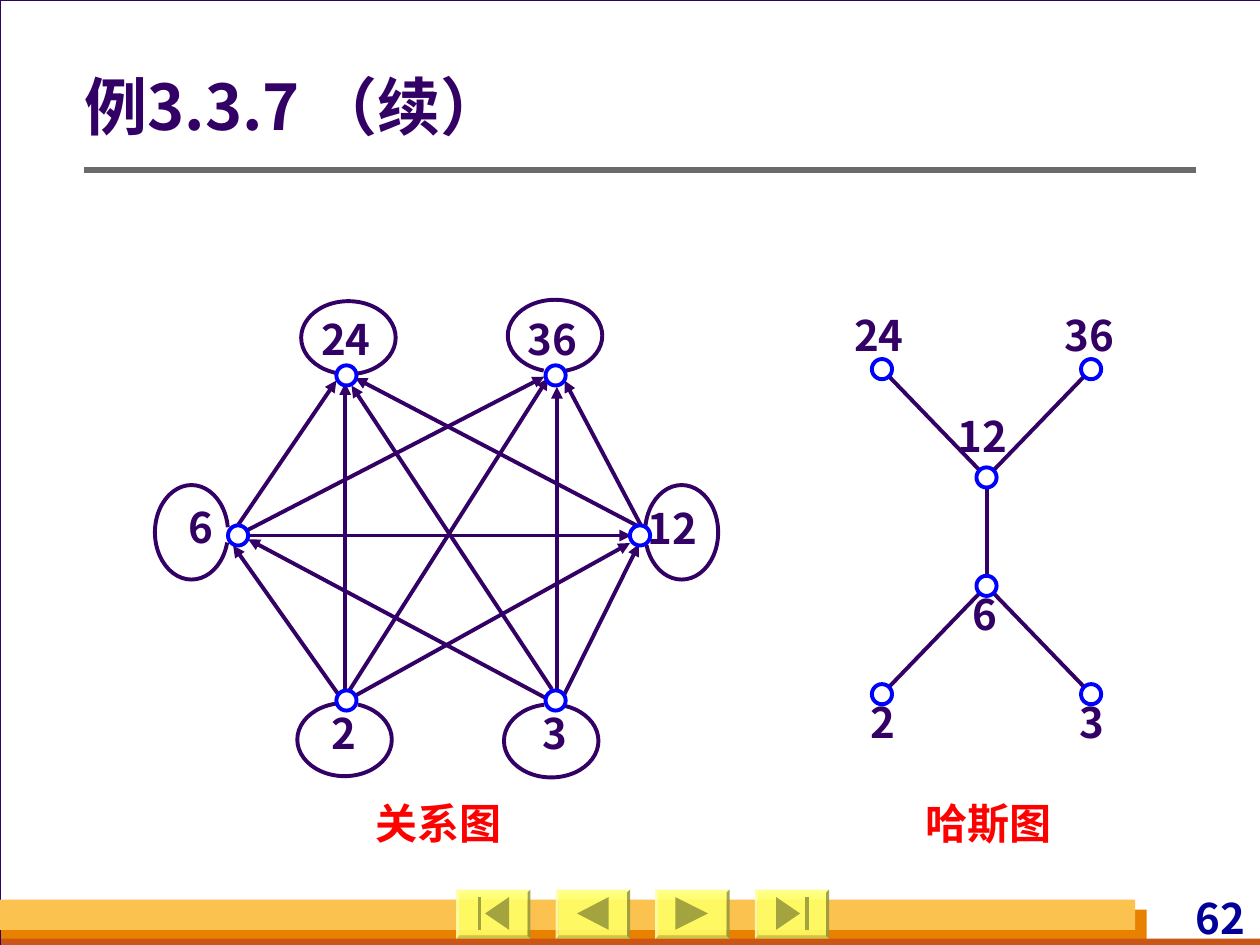
import pptx
import pptx.util
import pptx.dml.color
import pptx.enum.shapes
import pptx.enum.text
import pptx.oxml.ns
import lxml.etree

Inches = pptx.util.Inches
Pt = pptx.util.Pt
SHAPE = pptx.enum.shapes.MSO_SHAPE
ALIGN = pptx.enum.text.PP_ALIGN
ANCHOR = pptx.enum.text.MSO_ANCHOR
qn = pptx.oxml.ns.qn

COLORS = {
    "backdrop": "D8DADA", "page": "FFFFFF", "ink": "330066", "node": "0000FF",
    "caption": "FF0000", "number": "000099", "rule": "6B6B6B",
    "orange": "E88000", "rust": "C95616", "amber": "FCC24F",
    "button": "FFFF66", "icon": "A3A340",
}


def rgb(name):
    return pptx.dml.color.RGBColor.from_string(COLORS[name])


class Board:
    font = "Noto Sans CJK SC"
    stroke = 2.24

    def __init__(self, slide):
        self.slide = slide
        self.shapes = slide.shapes

    def paint(self, shape, fill=None, line=None, width=stroke, alpha=None):
        shape.shadow.inherit = False
        if fill:
            shape.fill.solid()
            shape.fill.fore_color.rgb = rgb(fill)
            if alpha:
                color = shape.fill._xPr.find(".//" + qn("a:srgbClr"))
                lxml.etree.SubElement(color, qn("a:alpha")).set("val", str(alpha * 1000))
        else:
            shape.fill.background()
        if line:
            shape.line.color.rgb = rgb(line)
            shape.line.width = Pt(width)
        else:
            shape.line.fill.background()
        return shape

    def shape(self, kind, x, y, w, h, **look):
        shape = self.shapes.add_shape(kind, Inches(x), Inches(y), Inches(w), Inches(h))
        return self.paint(shape, **look)

    def polygon(self, points, **look):
        corners = [(Inches(x), Inches(y)) for x, y in points]
        builder = self.shapes.build_freeform(*corners[0])
        builder.add_line_segments(corners[1:], close=True)
        return self.paint(builder.convert_to_shape(), **look)

    def line(self, start, end, color="ink", width=stroke, arrow=False):
        line = self.shapes.add_connector(
            pptx.enum.shapes.MSO_CONNECTOR.STRAIGHT,
            *[Inches(v) for v in (*start, *end)])
        line.line.color.rgb = rgb(color)
        line.line.width = Pt(width)
        if arrow:
            tail = lxml.etree.SubElement(line.line._get_or_add_ln(), qn("a:tailEnd"))
            tail.set("type", "triangle")
        lxml.etree.SubElement(line._element.spPr, qn("a:effectLst"))

    def styled_run(self, frame, text, size, color):
        paragraph = frame.paragraphs[0]
        run = paragraph.add_run()
        run.text = text
        run.font.size = Pt(size)
        run.font.bold = True
        run.font.name = self.font
        run.font.color.rgb = rgb(color)
        east_asian = lxml.etree.Element(qn("a:ea"))
        east_asian.set("typeface", self.font)
        run.font._element.find(qn("a:latin")).addnext(east_asian)
        return paragraph

    def text(self, text, x, y, w, h=0.5, color="ink", inset=(0.1, 0.05),
             wrap=False, align=ALIGN.LEFT):
        frame = self.shapes.add_textbox(
            Inches(x), Inches(y), Inches(w), Inches(h)).text_frame
        frame.word_wrap = wrap
        frame.margin_left = frame.margin_right = Inches(inset[0])
        frame.margin_top = frame.margin_bottom = Inches(inset[1])
        self.styled_run(frame, text, 24, color).alignment = align

    def title(self, text, x, y, w, h):
        title = self.shapes.title
        title.left, title.top, title.width, title.height = map(Inches, (x, y, w, h))
        self.shapes._spTree.append(title._element)  # in front of the page panel
        frame = title.text_frame
        frame.word_wrap = True
        frame.vertical_anchor = ANCHOR.MIDDLE
        frame.margin_left = 0
        paragraph = self.styled_run(frame, text, 36, "ink")
        paragraph.alignment = ALIGN.LEFT
        paragraph.line_spacing = 0.9

    def node(self, center):
        x, y = center
        self.shape(SHAPE.OVAL, x - 0.08, y - 0.08, 0.16, 0.16, fill="page", line="node")

    def loop(self, x, y, w, h, start, end):
        arc = self.shape(SHAPE.ARC, x, y, w, h, line="ink")
        # Angles in degrees, clockwise from the right
        arc.adjustments[0] = start * 0.6
        arc.adjustments[1] = end * 0.6

    def button(self, x, icons):
        y = 7.06
        face = self.shape(SHAPE.BEVEL, x, y, 0.59, 0.39, fill="button", alpha=90)
        face.adjustments[0] = 0.06
        for icon in icons:
            self.polygon([(x + dx, y + dy) for dx, dy in icon], fill="icon")


deck = pptx.Presentation()
deck.slide_width, deck.slide_height = Inches(10), Inches(7.5)
board = Board(deck.slides.add_slide(deck.slide_layouts[5]))
board.slide.background.fill.solid()
board.slide.background.fill.fore_color.rgb = rgb("backdrop")

# Page panel, footer bands, page number and title rule
board.shape(SHAPE.RECTANGLE, 0, 0, 10.01, 7.5, fill="page", line="ink", width=0.74)
for x, y, w, h, band in [(0.01, 7.22, 9.09, 0.28, "orange"),
                         (0.01, 7.45, 10, 0.08, "rust"),
                         (0, 7.14, 9.01, 0.24, "amber")]:
    board.shape(SHAPE.RECTANGLE, x, y, w, h, fill=band)
board.text("62", 8.47, 7.08, 1.45, 0.4, "number", (0.04, 0), True, ALIGN.RIGHT)
board.line((0.67, 1.35), (9.49, 1.35), "rule", 3)


# Navigation buttons: first, previous, next, last
def bar(x):
    return [(x, 0.06), (x + 0.03, 0.06), (x + 0.03, 0.32), (x, 0.32)]


def triangle(tip, base):
    return [(tip, 0.19), (base, 0.06), (base, 0.32)]


icon_sets = [[triangle(0.23, 0.42), bar(0.17)], [triangle(0.17, 0.42)],
             [triangle(0.42, 0.16)], [triangle(0.36, 0.17), bar(0.4)]]
for index, icons in enumerate(icon_sets):
    board.button(3.62 + 0.79 * index, icons)

# Title and diagram captions
board.title("例3.3.7 （续）", 0.67, 0.55, 8.8, 0.64)
board.text("关系图", 2.88, 6.28, 1.2, color="caption")
board.text("哈斯图", 7.25, 6.28, 1.2, color="caption")

# Hasse diagram: edges join node centres
hasse = {"24": (7, 2.93), "36": (8.66, 2.93), "12": (7.83, 3.79),
         "6": (7.83, 4.65), "2": (7, 5.51), "3": (8.66, 5.51)}
for upper, lower in [("36", "12"), ("12", "6"), ("24", "12"), ("6", "2"), ("6", "3")]:
    board.line(hasse[upper], hasse[lower])

# Number labels of both diagrams
for label, x, y in [
        ("2", 6.81, 5.48), ("3", 8.47, 5.48), ("6", 7.62, 4.62),
        ("12", 7.5, 3.21), ("36", 8.35, 2.41), ("24", 6.68, 2.41),
        ("2", 2.53, 5.57), ("3", 4.21, 5.57), ("6", 1.4, 3.93),
        ("12", 5.04, 3.94), ("36", 4.09, 2.44), ("24", 2.45, 2.44)]:
    board.text(label, x, y, 0.2 + 0.2 * len(label))

# Relation arrows
for start, end in [
        ((2.75, 5.56), (5, 4.31)), ((2.72, 5.56), (1.85, 4.33)),
        ((2.74, 5.52), (2.74, 3.04)), ((2.76, 5.5), (4.35, 3)),
        ((1.88, 4.25), (5.01, 4.25)), ((4.37, 5.56), (1.97, 4.28)),
        ((1.84, 4.24), (2.67, 3.02)), ((1.94, 4.22), (4.32, 2.99)),
        ((5.09, 4.19), (2.82, 3)), ((5.14, 4.27), (4.48, 3.02)),
        ((4.38, 5.47), (2.79, 3.06)), ((4.42, 5.57), (4.42, 3.07)),
        ((4.46, 5.55), (5.07, 4.32))]:
    board.line(start, end, arrow=True)

# Reflexive loops, open towards their node
for loop in [(5.12, 3.85, 0.58, 0.75, 190, 160), (1.23, 3.85, 0.58, 0.75, 16, 352),
             (4, 5.59, 0.75, 0.58, 291, 259), (2.36, 5.58, 0.75, 0.58, 291, 257),
             (2.39, 2.39, 0.75, 0.58, 102, 77), (4.03, 2.38, 0.75, 0.57, 108, 73)]:
    board.loop(*loop)

# Nodes
relation = [(2.75, 2.98), (4.41, 2.98), (5.08, 4.25),
            (1.89, 4.25), (2.75, 5.56), (4.41, 5.56)]
for center in [*hasse.values(), *relation]:
    board.node(center)

deck.save("out.pptx")
